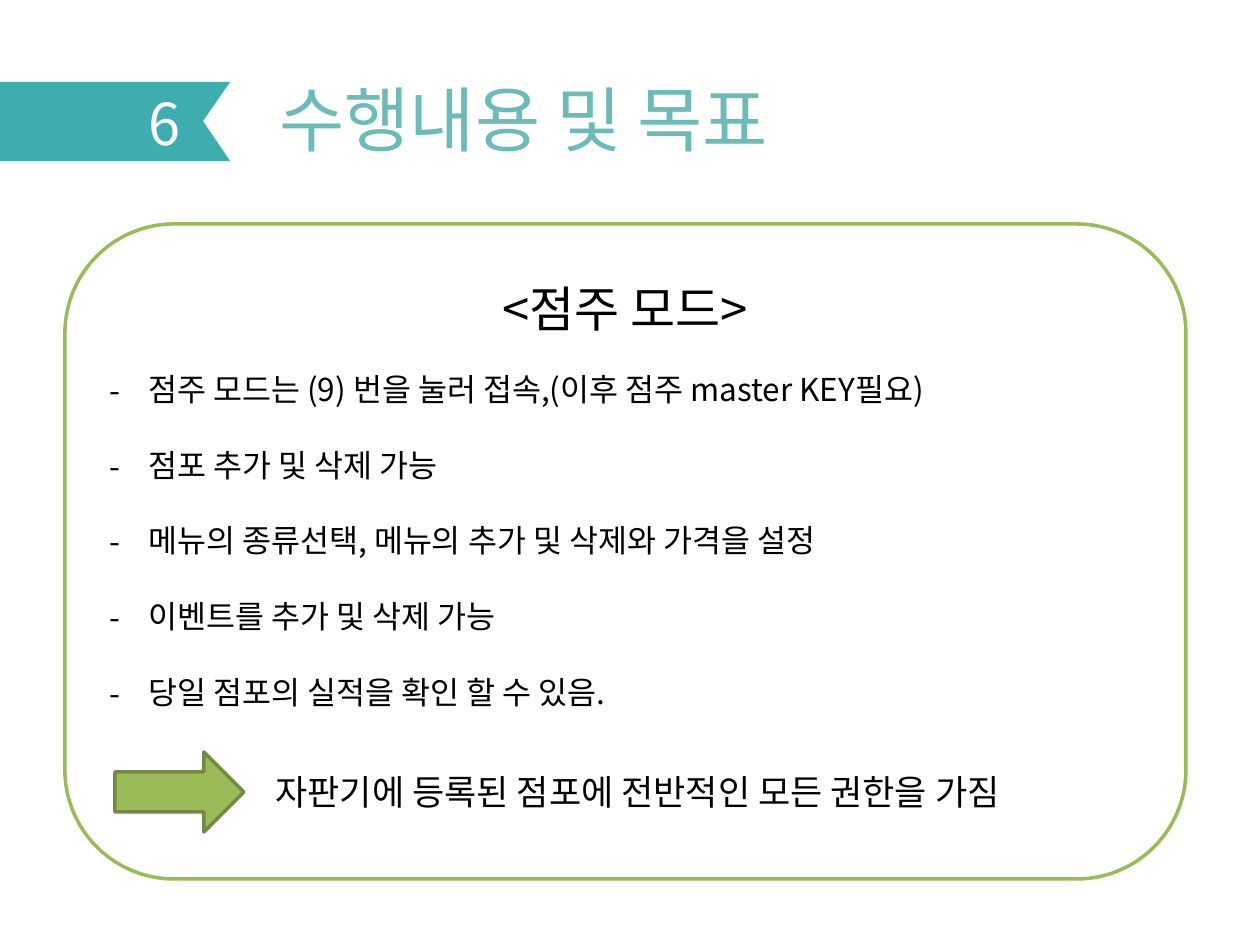
from lxml import etree
from pptx import Presentation
from pptx import util as u
from pptx.dml.color import RGBColor
from pptx.enum import shapes, text
from pptx.oxml.ns import qn

SCALE = 914400 / 126
FONT = "Noto Sans CJK KR"
COLORS = {
    "banner": "3DADAF",
    "title": "6BBBB9",
    "green": "9BBB59",
    "dark_green": "738A42",
    "white": "FFFFFF",
    "black": "000000",
}
MODE_FEATURES = [
    "점주 모드는 (9) 번을 눌러 접속,(이후 점주 master KEY필요)",
    "점포 추가 및 삭제 가능",
    "메뉴의 종류선택, 메뉴의 추가 및 삭제와 가격을 설정",
    "이벤트를 추가 및 삭제 가능",
    "당일 점포의 실적을 확인 할 수 있음.",
]


def px(value):
    return u.Emu(round(value * SCALE))


def color(name):
    return RGBColor.from_string(COLORS[name])


def write(paragraph, words, size, ink, align=text.PP_ALIGN.LEFT):
    paragraph.text = words
    paragraph.alignment = align
    for run in paragraph.runs:
        run.font.name = FONT
        run.font.size = u.Pt(size)
        run.font.color.rgb = color(ink)


def add_dash(paragraph, indent):
    properties = paragraph._p.get_or_add_pPr()
    properties.set("marL", str(px(indent)))
    properties.set("indent", str(-px(indent)))
    etree.SubElement(properties, qn("a:buFont")).set("typeface", FONT)
    etree.SubElement(properties, qn("a:buChar")).set("char", "-")


def paint(shape, fill, line=None):
    shape.shadow.inherit = False
    shape.fill.solid()
    shape.fill.fore_color.rgb = color(fill)
    if line:
        shape.line.color.rgb = color(line)
        shape.line.width = u.Pt(2)
    else:
        shape.line.fill.background()


def add_label(slide, box, words, size, ink, align=text.PP_ALIGN.LEFT):
    frame = slide.shapes.add_textbox(*map(px, box)).text_frame
    frame.word_wrap = True
    frame.vertical_anchor = text.MSO_ANCHOR.MIDDLE
    write(frame.paragraphs[0], words, size, ink, align)


def add_preset(slide, kind, box, fill, line):
    shape = slide.shapes.add_shape(kind, *map(px, box))
    paint(shape, fill, line)
    return shape


def add_banner(slide):
    builder = slide.shapes.build_freeform(0, 82, scale=SCALE)
    builder.add_line_segments([(230, 82), (203, 121), (230, 161), (0, 161)])
    paint(builder.convert_to_shape(), "banner")


def add_mode_panel(slide):
    panel = add_preset(slide, shapes.MSO_SHAPE.ROUNDED_RECTANGLE,
                       (65, 224, 1121, 655), "white", "green")
    frame = panel.text_frame
    frame.word_wrap = True
    frame.vertical_anchor = text.MSO_ANCHOR.TOP
    frame.margin_top = px(23)
    heading = frame.paragraphs[0]
    write(heading, "<점주 모드>", 28, "black", text.PP_ALIGN.CENTER)
    heading.space_after = u.Pt(18.5)
    for feature in MODE_FEATURES:
        paragraph = frame.add_paragraph()
        write(paragraph, feature, 18, "black")
        paragraph.space_after = u.Pt(21.6)
        add_dash(paragraph, 39)


def main():
    presentation = Presentation()
    presentation.slide_width = px(1260)
    presentation.slide_height = px(945)
    slide = presentation.slides.add_slide(presentation.slide_layouts[6])
    add_banner(slide)
    add_label(slide, (136, 81, 58, 83), "6", 33, "white")
    add_label(slide, (151, 69, 746, 98), "수행내용 및 목표", 40.5, "title",
              text.PP_ALIGN.CENTER)
    add_mode_panel(slide)
    add_preset(slide, shapes.MSO_SHAPE.RIGHT_ARROW, (115, 752, 129, 80),
               "green", "dark_green")
    add_label(slide, (263, 764, 843, 55),
              "자판기에 등록된 점포에 전반적인 모든 권한을 가짐", 20, "black")
    presentation.save("out.pptx")


if __name__ == "__main__":
    main()
